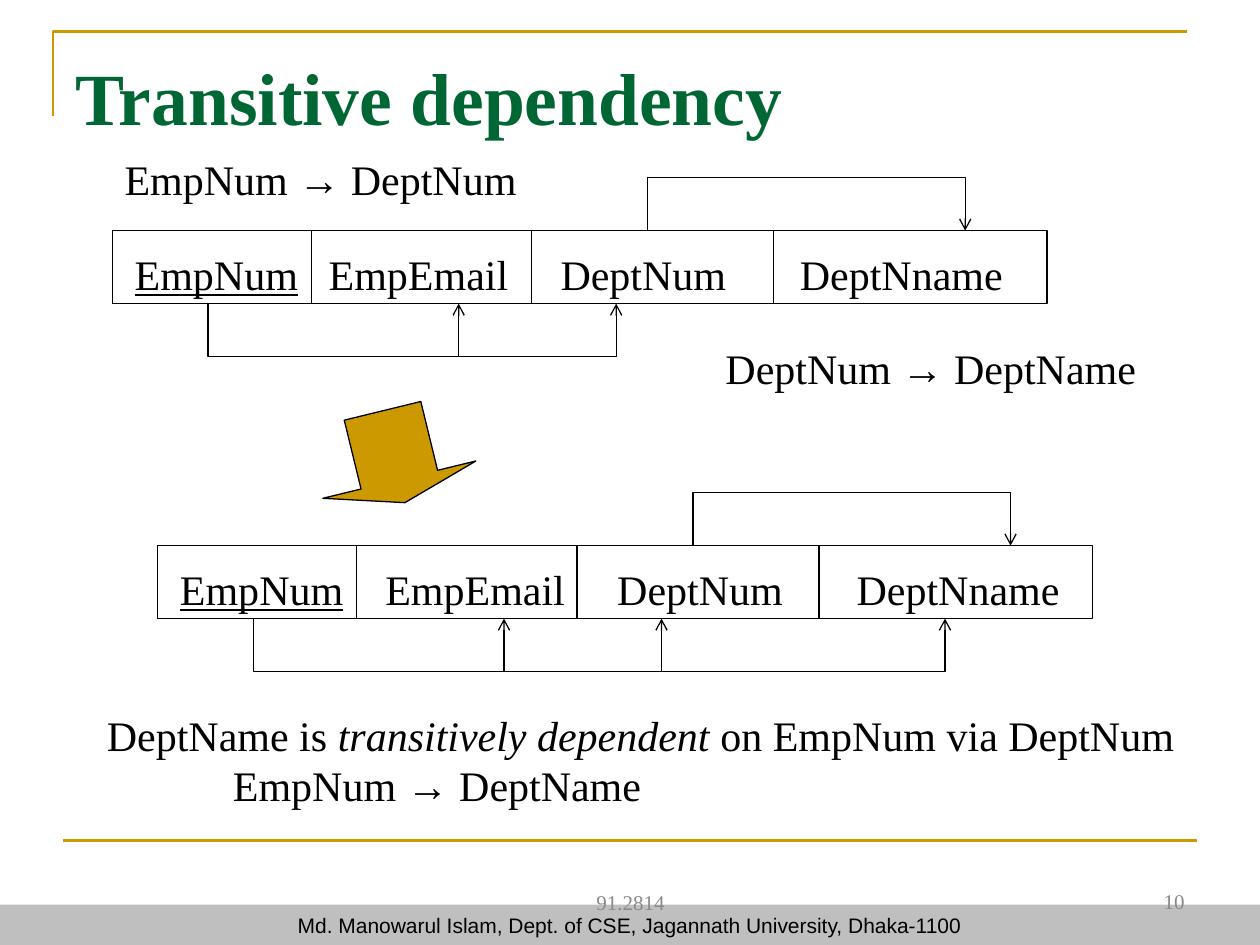
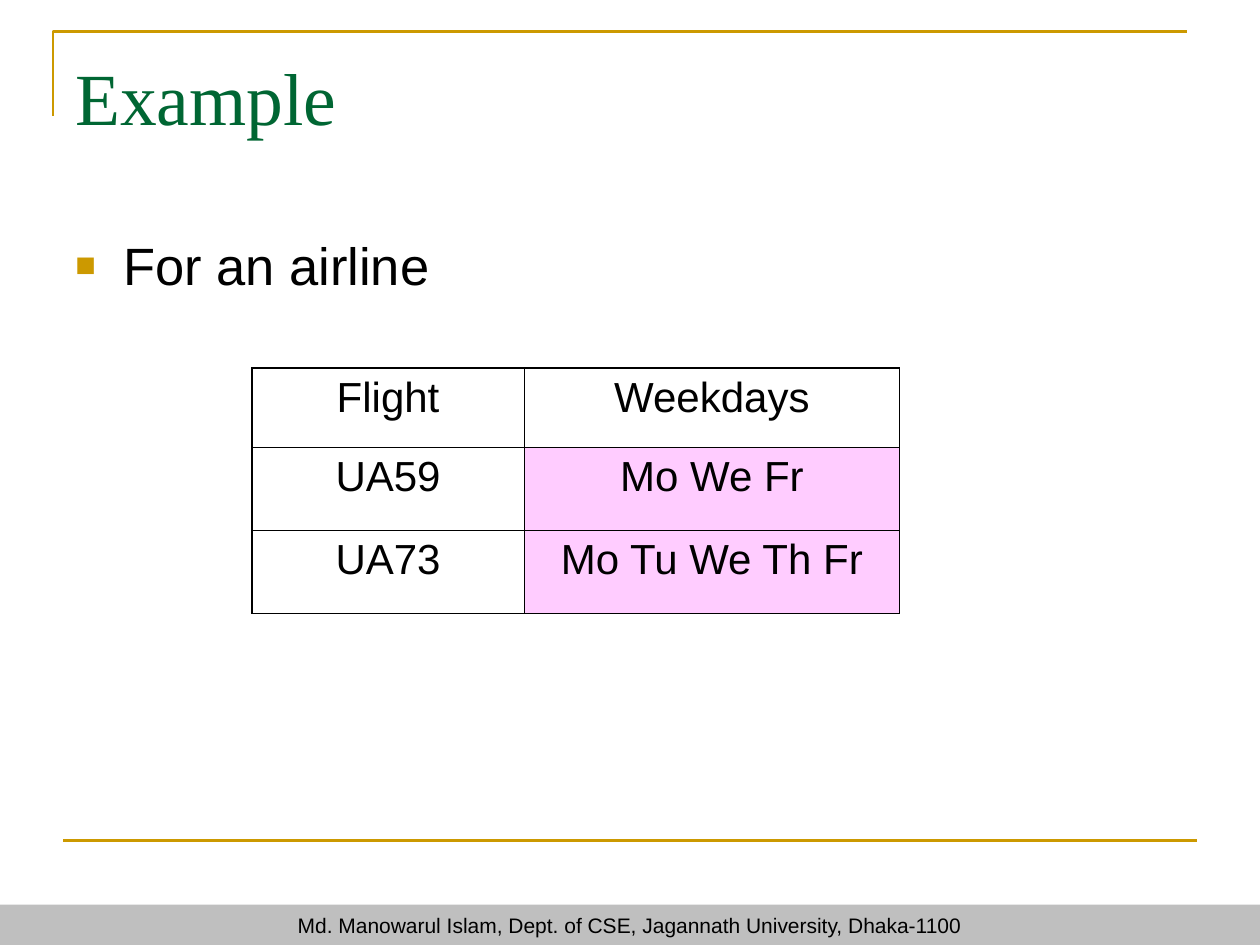
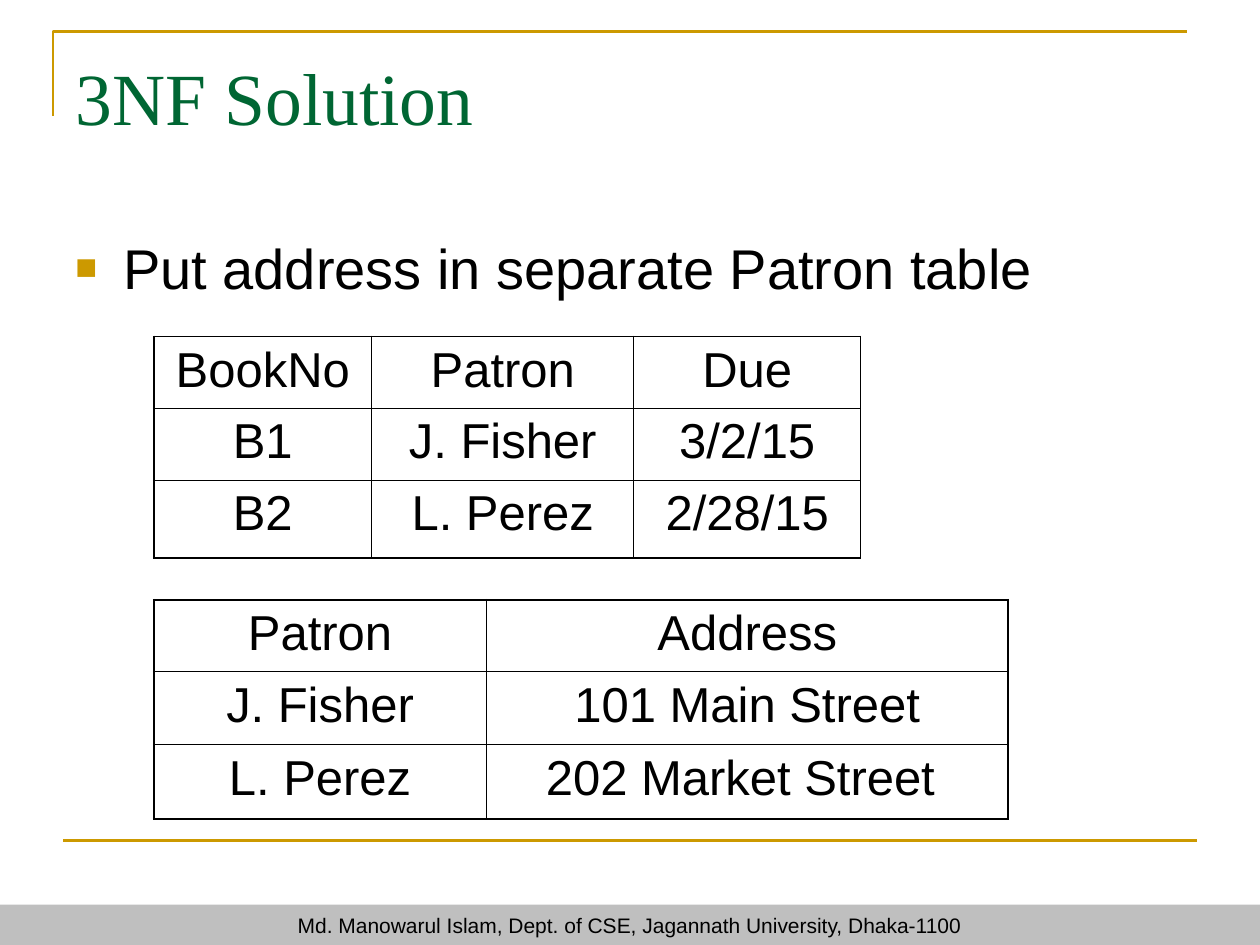
from itertools import accumulate

from pptx import Presentation
from pptx.dml.color import RGBColor
from pptx.enum.shapes import MSO_CONNECTOR, MSO_SHAPE
from pptx.enum.text import MSO_ANCHOR as Anchor, PP_ALIGN as Align
from pptx.oxml.ns import qn
from pptx.util import Inches, Pt
from lxml.etree import SubElement

# Shared look
COLORS = {"black": "000000", "gold": "CC9900", "green": "006633",
          "band": "BFBFBF", "gray": "898989", "pink": "FFCCFF"}
SERIF, SANS = "Times New Roman", "Arial"
FOOTER = "Md. Manowarul Islam, Dept. of CSE, Jagannath University, Dhaka-1100"

# Slide 1: relation drawn twice, with its dependency arrows
ATTRIBUTES = ["EmpNum", "EmpEmail", "DeptNum", "DeptNname"]
ATTRIBUTE_WIDTHS = [1.58, 1.75, 1.92, 2.17]
NAME_TABS = [1.54, 3.38, 5.28]
ROW_HEIGHT, ARROW_DEPTH = 0.58, 0.42
KEY_X, EMAIL_X, DEPT_X, NAME_X = 0.76, 2.75, 4.0, 6.25
TOP_ARROW = (4.25, 6.77)
RELATIONS = [  # left, top, shift of the later names, targets of the key
    (0.89, 1.83, 0, [EMAIL_X, DEPT_X]),
    (1.25, 4.33, 0.09, [EMAIL_X, DEPT_X, NAME_X]),
]
DEPENDENCIES = [  # box, determinant, dependent
    ((0.89, 1.17, 3.31, 0.5), "EmpNum", "DeptNum"),
    ((5.66, 2.67, 3.46, 0.5), "DeptNum", "DeptName"),
]
CONCLUSION = [("DeptName is ", {}), ("transitively dependent", {"italic": True}),
              (" on EmpNum via DeptNum", {})]
PAGE_MARKS = [((3.42, 6.96, 3.17, 0.4), "91.2814", Align.CENTER),
              ((7.17, 6.95, 2.33, 0.4), "10", Align.RIGHT)]

# Slides 2 and 3: a bullet and tables
TABLE_SLIDES = [
    {"title": "Example", "bullet": "For an airline", "bullet_size": 30, "tables": [
        {"at": (2, 2.92), "size": 24, "widths": [2.16, 2.98],
         "heights": [0.63, 0.66, 0.66], "marked": 1,
         "rows": [["Flight", "Weekdays"], ["UA59", "Mo We Fr"],
                  ["UA73", "Mo Tu We Th Fr"]]}]},
    {"title": "3NF Solution", "bullet": "Put address in separate Patron table",
     "bullet_size": 32, "tables": [
        {"at": (1.22, 2.67), "size": 28, "widths": [1.73, 2.08, 1.8],
         "heights": [0.57, 0.57, 0.62],
         "rows": [["BookNo", "Patron", "Due"], ["B1", "J. Fisher", "3/2/15"],
                  ["B2", "L. Perez", "2/28/15"]]},
        {"at": (1.22, 4.76), "size": 28, "widths": [2.64, 4.14],
         "heights": [0.57, 0.58, 0.59],
         "rows": [["Patron", "Address"], ["J. Fisher", "101 Main Street"],
                  ["L. Perez", "202 Market Street "]]}]},
]


def color(name):
    return RGBColor.from_string(COLORS[name])


def add_span(para, text, size, font=SERIF, ink="black", **formats):
    span = para.add_run()
    span.text = text
    span.font.color.rgb = color(ink)
    for key, value in {"name": font, "size": Pt(size), **formats}.items():
        setattr(span.font, key, value)


def add_box(page, at, wrap=True, **formats):
    """Add a text box and return its frame and first paragraph."""
    frame = page.shapes.add_textbox(*map(Inches, at)).text_frame
    for key, value in {"word_wrap": wrap, **formats}.items():
        setattr(frame, key, value)
    return frame, frame.paragraphs[0]


def add_dependency(para, source, target):
    for text, font in [(source + " ", SERIF), ("→", SANS), (" " + target, SERIF)]:
        add_span(para, text, 24, font)


def style_shape(shape, fill=None, line=None, width=0.75):
    shape.shadow.inherit = False
    for part, name in [(shape.fill, fill), (shape.line.fill, line)]:
        if name:
            part.solid()
            part.fore_color.rgb = color(name)
        else:
            part.background()
    if line:
        shape.line.width = Pt(width)


def add_shape(page, kind, at, **style):
    shape = page.shapes.add_shape(kind, *map(Inches, at))
    style_shape(shape, **style)
    return shape


def add_path(page, points, line="black", width=0.75, arrow=True):
    points = [(Inches(x), Inches(y)) for x, y in points]
    builder = page.shapes.build_freeform(*points[0])
    builder.add_line_segments(points[1:], close=False)
    path = builder.convert_to_shape()
    style_shape(path, line=line, width=width)
    if arrow:
        SubElement(path.line._get_or_add_ln(), qn("a:tailEnd"), type="arrow")


def add_page(deck, title, bold=False):
    """Start a slide with the frame lines, footer band and title."""
    page = deck.slides.add_slide(deck.slide_layouts[6])
    add_path(page, [(0.42, 0.92), (0.42, 0.25), (9.42, 0.25)], "gold", 1.5, False)
    rule = page.shapes.add_connector(MSO_CONNECTOR.STRAIGHT,
                                     *map(Inches, (0.5, 6.67, 9.5, 6.67)))
    rule.line.color.rgb = color("gold")
    rule.line.width = Pt(1.5)
    SubElement(rule._element.spPr, qn("a:effectLst"))
    band = add_shape(page, MSO_SHAPE.RECTANGLE, (0, 7.18, 10, 0.33), fill="band")
    band.text_frame.vertical_anchor = Anchor.MIDDLE
    para = band.text_frame.paragraphs[0]
    para.alignment = Align.CENTER
    add_span(para, FOOTER, 12, SANS)
    _, para = add_box(page, (0.5, 0.3, 9, 1.25), margin_top=Inches(0.11))
    add_span(para, title, 42, ink="green", bold=bold)
    return page


def add_relation(page, left, top, shift, targets):
    bottom = top + ROW_HEIGHT
    # Attribute names on tab stops
    _, para = add_box(page, (left + 0.08, top + 0.09, 8.08, 0.5))
    tabs = SubElement(para._p.get_or_add_pPr(), qn("a:tabLst"))
    for stop in NAME_TABS:
        SubElement(tabs, qn("a:tab"), pos=str(Inches(stop + shift)), algn="l")
    add_span(para, ATTRIBUTES[0], 24, underline=True)
    for name in ATTRIBUTES[1:]:
        add_span(para, "\t" + name, 24)
    # Attribute frames
    for offset, width in zip(accumulate([0] + ATTRIBUTE_WIDTHS), ATTRIBUTE_WIDTHS):
        add_shape(page, MSO_SHAPE.RECTANGLE, (left + offset, top, width, ROW_HEIGHT),
                  line="black")
    # Arrows: the key below, the transitive step above
    low, high = bottom + ARROW_DEPTH, top - ARROW_DEPTH
    start = left + KEY_X
    for number, target in enumerate(targets):
        end = left + target
        rise = [(start, bottom)] if number == 0 else []
        add_path(page, rise + [(start, low), (end, low), (end, bottom)])
        start = end
    start, end = (left + x for x in TOP_ARROW)
    add_path(page, [(start, top), (start, high), (end, high), (end, top)])


def add_bullet(page, text, size):
    _, para = add_box(page, (0.5, 1.75, 9, 0.8), margin_top=Inches(0.1))
    props = para._p.get_or_add_pPr()
    props.set("marL", str(Inches(0.38)))
    props.set("indent", str(-Inches(0.38)))
    SubElement(SubElement(props, qn("a:buClr")), qn("a:srgbClr"), val=COLORS["gold"])
    SubElement(props, qn("a:buSzPct"), val="65000")
    SubElement(props, qn("a:buFont"), typeface=SANS)
    SubElement(props, qn("a:buChar"), char="■")
    add_span(para, text, size, SANS)


def set_borders(cell, outer_sides):
    """Outer edges are thicker than inner ones."""
    props = cell._tc.get_or_add_tcPr()
    for side, outer in zip("LRTB", outer_sides):
        edge = SubElement(props, qn("a:ln" + side), w=str(Pt(1.08 if outer else 0.45)))
        SubElement(SubElement(edge, qn("a:solidFill")), qn("a:srgbClr"),
                   val=COLORS["black"])


def add_grid(page, at, size, widths, heights, rows, marked=None):
    extent = (*at, sum(widths), sum(heights))
    table = page.shapes.add_table(len(rows), len(widths), *map(Inches, extent)).table
    table.first_row = table.horz_banding = False
    for column, width in zip(table.columns, widths):
        column.width = Inches(width)
    for row, height in zip(table.rows, heights):
        row.height = Inches(height)
    for r, texts in enumerate(rows):
        for c, text in enumerate(texts):
            cell = table.cell(r, c)
            set_borders(cell, (c == 0, c == len(widths) - 1, r == 0, r == len(rows) - 1))
            if c == marked and r > 0:
                cell.fill.solid()
                cell.fill.fore_color.rgb = color("pink")
            else:
                cell.fill.background()
            para = cell.text_frame.paragraphs[0]
            para.alignment = Align.CENTER
            add_span(para, text, size, SANS)


def build_dependency_page(deck):
    page = add_page(deck, "Transitive dependency", bold=True)
    for at, text, side in PAGE_MARKS:
        _, para = add_box(page, at, vertical_anchor=Anchor.MIDDLE)
        para.alignment = side
        add_span(para, text, 12, ink="gray")
    for relation in RELATIONS:
        add_relation(page, *relation)
    step = add_shape(page, MSO_SHAPE.DOWN_ARROW, (2.5, 3.25, 1.25, 0.75),
                     fill="gold", line="black")
    step.rotation = 346.3
    step.adjustments[0], step.adjustments[1] = 0.5, 0.25
    for at, source, target in DEPENDENCIES:
        _, para = add_box(page, at, wrap=False)
        add_dependency(para, source, target)
    frame, para = add_box(page, (0.75, 5.58, 8.92, 0.9))
    for text, formats in CONCLUSION:
        add_span(para, text, 24, **formats)
    para = frame.add_paragraph()
    para._p.get_or_add_pPr().set("marL", str(Inches(1)))
    add_dependency(para, "EmpNum", "DeptName")


def main():
    deck = Presentation()
    deck.slide_width, deck.slide_height = Inches(10), Inches(7.5)
    build_dependency_page(deck)
    for content in TABLE_SLIDES:
        page = add_page(deck, content["title"])
        add_bullet(page, content["bullet"], content["bullet_size"])
        for grid in content["tables"]:
            add_grid(page, **grid)
    deck.save("out.pptx")


if __name__ == "__main__":
    main()
